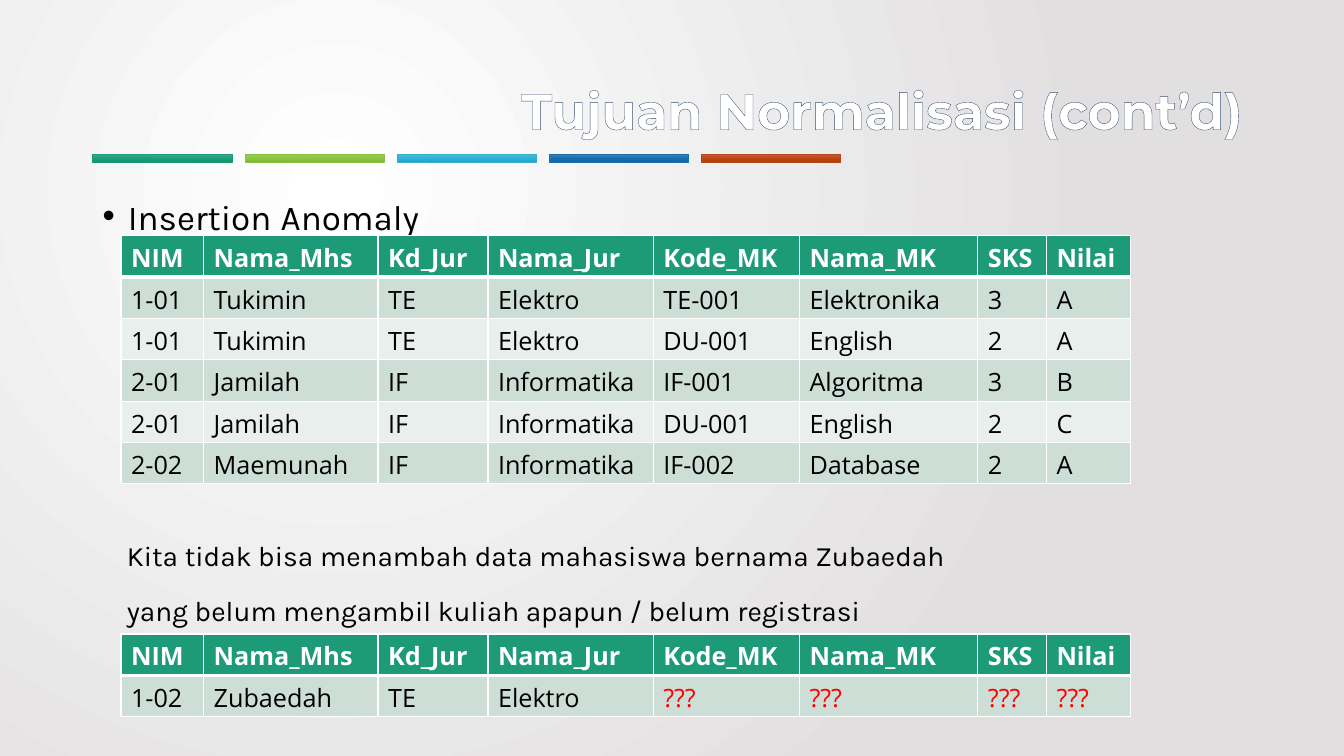
from lxml import etree
from pptx import Presentation
from pptx.dml.color import RGBColor
from pptx.enum.shapes import MSO_SHAPE
from pptx.enum.text import MSO_ANCHOR, PP_ALIGN
from pptx.oxml import parse_xml
from pptx.oxml.ns import nsdecls, qn
from pptx.util import Inches, Pt

COLORS = {
    "white": "FFFFFF", "black": "000000", "red": "FF0000",
    "backdrop": "E1DFDF", "title_outline": "3A5274",
    "header": "1D9A78", "band_dark": "CDDED6", "band_light": "E8EFEC",
}
# Each bar: gradient from top to bottom, then the outline
BARS = [
    (("4EA788", "17A07B", "0F9470"), "1D9A78"),
    (("98C862", "8CC73F", "7DB831"), "8BC145"),
    (("59B8D4", "2EB3D6", "21A4C6"), "36AFCE"),
    (("4E80B5", "1670B0", "0D65A3"), "1D6FA9"),
    (("C2634D", "BF4611", "B13B08"), "B74919"),
]
COLUMN_WIDTHS = [0.82, 1.73, 1.09, 1.64, 1.45, 1.77, 0.68, 0.83]
ROW_HEIGHT = 0.41
HEADER = ["NIM", "Nama_Mhs", "Kd_Jur", "Nama_Jur", "Kode_MK", "Nama_MK", "SKS", "Nilai"]
ENROLMENTS = [
    ["1-01", "Tukimin", "TE", "Elektro", "TE-001", "Elektronika", "3", "A"],
    ["1-01", "Tukimin", "TE", "Elektro", "DU-001", "English", "2", "A"],
    ["2-01", "Jamilah", "IF", "Informatika", "IF-001", "Algoritma", "3", "B"],
    ["2-01", "Jamilah", "IF", "Informatika", "DU-001", "English", "2", "C"],
    ["2-02", "Maemunah", "IF", "Informatika", "IF-002", "Database", "2", "A"],
]
NEW_STUDENT = [["1-02", "Zubaedah", "TE", "Elektro"] + ["???"] * 4]
NOTE = [
    "Kita tidak bisa menambah data mahasiswa bernama Zubaedah",
    "yang belum mengambil kuliah apapun / belum registrasi",
]


def rgb(name):
    return RGBColor.from_string(COLORS[name])


def set_gradient(fill, owner, colors, direction):
    """Fill with evenly spaced colours; direction is the a:lin or a:path element."""
    fill.gradient()
    old = next(owner.iter(qn("a:gradFill")))
    step = 100000 // (len(colors) - 1)
    stops = "".join(f'<a:gs pos="{i * step}"><a:srgbClr val="{c}"/></a:gs>'
                    for i, c in enumerate(colors))
    old.getparent().replace(old, parse_xml(
        f'<a:gradFill {nsdecls("a")} rotWithShape="1">'
        f'<a:gsLst>{stops}</a:gsLst>{direction}</a:gradFill>'))


def add_run(p, text, color="black", **font):
    r = p.add_run()
    r.text = text
    for name, value in font.items():
        setattr(r.font, name, value)
    r.font.color.rgb = rgb(color)
    return r


def add_text_box(s, left, top, width, height, anchor=MSO_ANCHOR.TOP):
    tf = s.shapes.add_textbox(*map(Inches, (left, top, width, height))).text_frame
    tf.word_wrap = True
    tf.vertical_anchor = anchor
    return tf


def add_bars(s):
    for i, (colors, outline) in enumerate(BARS):
        sp = s.shapes.add_shape(MSO_SHAPE.RECTANGLE, Inches(0.92 + 1.51 * i),
                                Inches(1.53), Inches(1.38), Inches(0.08))
        sp.shadow.inherit = False
        set_gradient(sp.fill, sp.element, colors, '<a:lin ang="5400000" scaled="0"/>')
        sp.line.color.rgb = RGBColor.from_string(outline)
        sp.line.width = Pt(0.5)


def add_title(s, text):
    p = add_text_box(s, 0.92, 0.4, 11.5, 1.45, MSO_ANCHOR.MIDDLE).paragraphs[0]
    p.alignment = PP_ALIGN.RIGHT
    p.line_spacing = 0.9
    r = add_run(p, text, "white", name="Montserrat", size=Pt(36), bold=True)
    r.font.fill.solid()
    r.font.color.rgb = rgb("white")
    r.font._element.insert(0, parse_xml(
        f'<a:ln {nsdecls("a")} w="12700"><a:solidFill>'
        f'<a:srgbClr val="{COLORS["title_outline"]}"/></a:solidFill></a:ln>'))


def add_bullet_heading(s):
    p = add_text_box(s, 0.92, 1.76, 11.5, 0.6).paragraphs[0]
    p.line_spacing = 1.2
    pPr = p._p.get_or_add_pPr()
    pPr.set("marL", str(Inches(0.25)))
    pPr.set("indent", str(-Inches(0.25)))
    etree.SubElement(pPr, qn("a:buFont")).set("typeface", "Arial")
    etree.SubElement(pPr, qn("a:buChar")).set("char", "•")
    for text, size in (("Insertion", 25), (" ", 28), ("Anomaly", 25)):
        add_run(p, text, name="Karla", size=Pt(size))


def add_note(s, lines):
    tf = add_text_box(s, 1.16, 5.23, 11.26, 1.06)
    for i, line in enumerate(lines):
        p = tf.add_paragraph() if i else tf.paragraphs[0]
        p.line_spacing = 1.2
        if i:
            p.space_before = Pt(10)
        add_run(p, line, name="Karla", size=Pt(20))


def set_borders(cell, **widths):
    tcPr = cell._tc.get_or_add_tcPr()
    for side in "LRTB":
        tcPr.append(parse_xml(
            f'<a:ln{side} {nsdecls("a")} w="{Pt(widths.get(side, 1))}"><a:solidFill>'
            f'<a:srgbClr val="{COLORS["white"]}"/></a:solidFill></a:ln{side}>'))


def add_data_table(s, top, records):
    rows = [HEADER] + records
    table = s.shapes.add_table(
        len(rows), len(HEADER), Inches(1.2), Inches(top),
        Inches(sum(COLUMN_WIDTHS)), Inches(ROW_HEIGHT * len(rows))).table
    for column, width in zip(table.columns, COLUMN_WIDTHS):
        column.width = Inches(width)
    for i, row in enumerate(rows):
        table.rows[i].height = Inches(ROW_HEIGHT)
        band = "header" if i == 0 else "band_dark" if i % 2 else "band_light"
        for j, text in enumerate(row):
            cell = table.cell(i, j)
            set_borders(cell, T=3 if i == 1 else 1, B=3 if i == 0 else 1)
            cell.fill.solid()
            cell.fill.fore_color.rgb = rgb(band)
            color = "white" if i == 0 else "red" if text == "???" else "black"
            add_run(cell.text_frame.paragraphs[0], text, color,
                    name="Open Sans", size=Pt(18), bold=i == 0)


def main():
    prs = Presentation()
    prs.slide_width, prs.slide_height = Inches(13.33), Inches(7.5)
    s = prs.slides.add_slide(prs.slide_layouts[6])
    set_gradient(s.background.fill, s.element, (COLORS["white"], COLORS["backdrop"]),
                 '<a:path path="circle"><a:fillToRect l="50000" t="50000" '
                 'r="100000" b="100000"/></a:path>')
    add_bars(s)
    add_title(s, "Tujuan Normalisasi (cont’d)")
    add_bullet_heading(s)
    add_data_table(s, 2.34, ENROLMENTS)
    add_note(s, NOTE)
    add_data_table(s, 6.29, NEW_STUDENT)
    prs.save("out.pptx")


if __name__ == "__main__":
    main()
